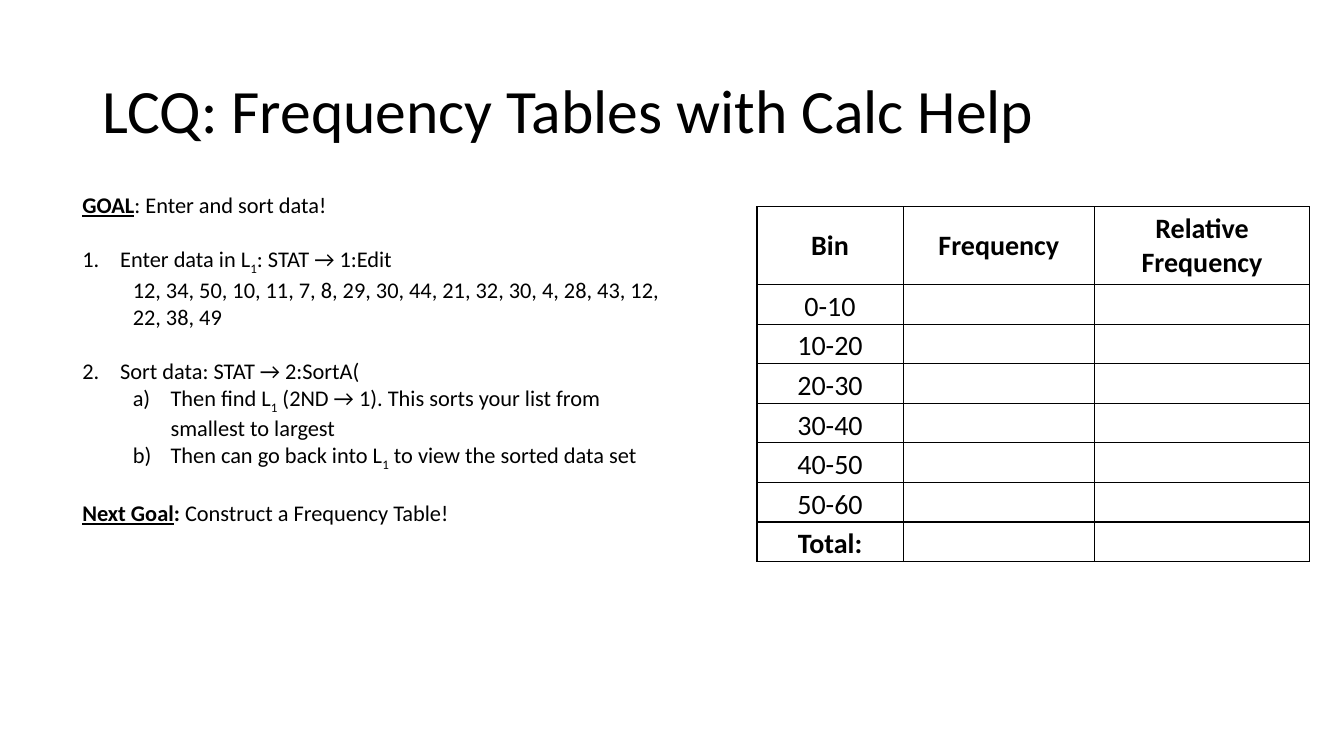
from lxml.etree import SubElement
from pptx import Presentation
from pptx.dml.color import RGBColor
from pptx.enum.text import MSO_ANCHOR, PP_ALIGN
from pptx.oxml.ns import qn
from pptx.util import Pt

TITLE = "LCQ: Frequency Tables with Calc Help"
SUB = ("1", "sub")
STEPS = [
    ("head", 0, [("GOAL", "key"), (": Enter and sort data!", "")]),
    ("step", 1, [("Enter data in L", ""), SUB, (": STAT → 1:Edit", "")]),
    ("data", 0, [("12, 34, 50, 10, 11, 7, 8, 29, 30, 44, 21, 32, 30, 4, 28, 43, 12, 22, 38, 49", "")]),
    ("step", 2, [("Sort data: STAT → 2:SortA(", "")]),
    ("substep", 1, [("Then find L", ""), SUB,
                    (" (2ND → 1). This sorts your list from smallest to largest", "")]),
    ("substep", 2, [("Then can go back into L", ""), SUB, (" to view the sorted data set", "")]),
    ("head", 0, [("Next Goal", "key"), (": ", "bold"), ("Construct a Frequency Table!", "")]),
]
HEADERS = ["Bin", "Frequency", "Relative Frequency"]
BINS = [f"{low}-{low + 10}" for low in range(0, 60, 10)]
ROWS = [HEADERS] + [[label, "", ""] for label in BINS + ["Total:"]]

THEME = {"font": "Calibri", "ink": "000000", "title": 44, "body": 16, "table": 20,
         "thick": 1, "thin": 0.5}
KINDS = {
    "head": {"level": 0, "left": 0, "hang": 0, "number": None},
    "step": {"level": 0, "left": 27, "hang": 27, "number": "arabicPeriod"},
    "data": {"level": 1, "left": 36, "hang": 0, "number": None},
    "substep": {"level": 1, "left": 63, "hang": 27, "number": "alphaLcParenR"},
}
LINE = 19.5
COLS = [104.4, 136.8, 153.4]
HEADER_H, ROW_H = 55.5, 28.3


def style(p, size, bold=None):
    p.font.name = THEME["font"]
    p.font.size = Pt(size)
    p.font.bold = bold
    p.font.color.rgb = RGBColor.from_string(THEME["ink"])


def text_box(slide, left, top, width, height):
    tf = slide.shapes.add_textbox(Pt(left), Pt(top), Pt(width), Pt(height)).text_frame
    tf.word_wrap = True
    return tf


def add_title(slide):
    tf = text_box(slide, 66, 28.8, 828, 104.4)
    tf.vertical_anchor = MSO_ANCHOR.MIDDLE
    p = tf.paragraphs[0]
    p.text = TITLE
    p.line_spacing = 0.9
    style(p, THEME["title"])


def add_steps(slide):
    tf = text_box(slide, 51.8, 133.2, 434.2, 259.2)
    for i, (kind, number, runs) in enumerate(STEPS):
        look = KINDS[kind]
        p = tf.paragraphs[0] if i == 0 else tf.add_paragraph()
        p.level = look["level"]
        if i and look["level"] == 0:
            p.space_before = Pt(LINE)
        style(p, THEME["body"])
        pPr = p._p.get_or_add_pPr()
        pPr.set("marL", str(Pt(look["left"])))
        pPr.set("indent", str(-Pt(look["hang"])))
        if look["number"]:
            bullet = pPr.makeelement(qn("a:buAutoNum"), {"type": look["number"]})
            if kind == "step" and number > 1:
                bullet.set("startAt", str(number))
            pPr.find(qn("a:defRPr")).addprevious(bullet)
        for text, mark in runs:
            r = p.add_run()
            r.text = text
            if mark in ("key", "bold"):
                r.font.bold = True
            if mark == "key":
                r.font.underline = True
            if mark == "sub":
                r._r.get_or_add_rPr().set("baseline", "-25000")


def add_borders(cell, thick_sides):
    tcPr = cell._tc.get_or_add_tcPr()
    for side in "LRTB":
        width = THEME["thick" if side in thick_sides else "thin"]
        ln = SubElement(tcPr, qn("a:ln" + side), w=str(Pt(width)))
        fill = SubElement(ln, qn("a:solidFill"))
        SubElement(fill, qn("a:srgbClr"), val=THEME["ink"])


def add_frequency_table(slide):
    last_row, last_col = len(ROWS) - 1, len(COLS) - 1
    heights = [HEADER_H] + [ROW_H] * last_row
    table = slide.shapes.add_table(len(ROWS), len(COLS), Pt(540.7), Pt(147.6),
                                   Pt(sum(COLS)), Pt(sum(heights))).table
    table.first_row = table.horz_banding = False
    for col, width in zip(table.columns, COLS):
        col.width = Pt(width)
    for y, (labels, height) in enumerate(zip(ROWS, heights)):
        table.rows[y].height = Pt(height)
        for x, label in enumerate(labels):
            cell = table.cell(y, x)
            cell.margin_left = cell.margin_right = cell.margin_top = Pt(0.7)
            cell.margin_bottom = 0
            cell.vertical_anchor = MSO_ANCHOR.BOTTOM if y else MSO_ANCHOR.MIDDLE
            p = cell.text_frame.paragraphs[0]
            p.text = label
            p.alignment = PP_ALIGN.CENTER
            style(p, THEME["table"], y in (0, last_row))
            edges = {"L": x == 0, "R": x == last_col,
                     "T": y in (0, last_row), "B": y >= last_row - 1}
            add_borders(cell, [side for side, thick in edges.items() if thick])
            cell.fill.background()


def main():
    prs = Presentation()
    prs.slide_width, prs.slide_height = Pt(960), Pt(540)
    slide = prs.slides.add_slide(prs.slide_layouts[6])
    add_title(slide)
    add_frequency_table(slide)
    add_steps(slide)
    prs.save("out.pptx")


if __name__ == "__main__":
    main()
